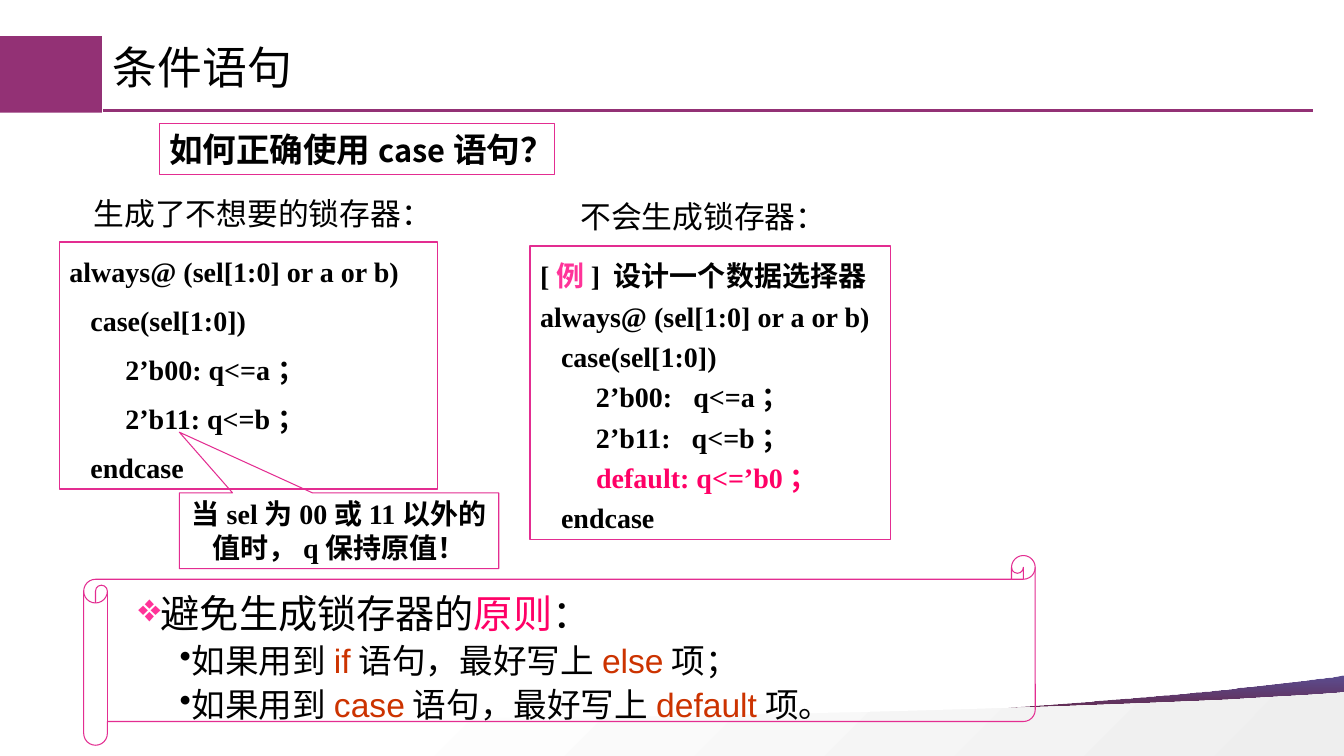
from dataclasses import dataclass

from lxml import etree
from pptx import Presentation
from pptx.dml.color import RGBColor
from pptx.enum.shapes import MSO_CONNECTOR, MSO_SHAPE
from pptx.enum.text import MSO_ANCHOR, PP_ALIGN
from pptx.oxml.ns import qn
from pptx.util import Cm, Pt

RECTANGLE = MSO_SHAPE.RECTANGLE
CALLOUT = MSO_SHAPE.RECTANGULAR_CALLOUT
SCROLL = MSO_SHAPE.HORIZONTAL_SCROLL
STRAIGHT = MSO_CONNECTOR.STRAIGHT
TOP, BOTTOM = MSO_ANCHOR.TOP, MSO_ANCHOR.BOTTOM
LEFT, CENTER, JUSTIFY = PP_ALIGN.LEFT, PP_ALIGN.CENTER, PP_ALIGN.JUSTIFY

BLACK = RGBColor(0x00, 0x00, 0x00)
WHITE = RGBColor(0xFF, 0xFF, 0xFF)
PALE_GREY = RGBColor(0xEE, 0xEE, 0xEE)
PURPLE = RGBColor(0x93, 0x31, 0x75)
MAGENTA = RGBColor(0xE3, 0x2D, 0x91)
PINK = RGBColor(0xFF, 0x33, 0x99)
HOT_PINK = RGBColor(0xFF, 0x00, 0x66)
RUST = RGBColor(0xCC, 0x33, 0x00)
DARK_RED = RGBColor(0x72, 0x08, 0x08)
INDIGO = RGBColor(0x34, 0x22, 0x75)

SERIF, SANS = "Times New Roman", "Arial"
HEADER_FONT, QUESTION_FONT = "Noto Sans CJK JP", "Noto Sans CJK SC"


@dataclass(frozen=True)
class Span:
    text: str
    color: RGBColor | None = None
    size: float | None = None


@dataclass(frozen=True)
class Line:
    spans: tuple[Span, ...]
    size: float
    bullet: str = ""
    bullet_color: RGBColor = BLACK
    margin: float = 0
    indent: float = 0


@dataclass(frozen=True)
class Box:
    """Text block; left, top, width and height are in centimetres."""
    left: float
    top: float
    width: float
    height: float
    lines: tuple[Line, ...]
    font: str
    bold: bool = False
    outline: float = 0
    preset: MSO_SHAPE = RECTANGLE
    adjustments: tuple[float, ...] = ()
    anchor: MSO_ANCHOR = BOTTOM
    align: PP_ALIGN = LEFT
    line_spacing: float = 1.0
    space_before: float = 0


@dataclass(frozen=True)
class Swoosh:
    """Closed outline: corners first, then cubic curves of three points each."""
    corners: tuple[tuple[float, float], ...]
    curves: tuple[tuple[tuple[float, float], ...], ...]
    stops: tuple[tuple[float, RGBColor], ...]
    angle: float
    end_alpha: int = 100


def plain(size: float, *texts: str) -> tuple[Line, ...]:
    return tuple(Line((Span(text),), size) for text in texts)


def advice(before: str, keyword: str, middle: str, partner: str, after: str) -> Line:
    spans = (Span(before), Span(keyword, RUST), Span(middle), Span(partner, RUST), Span(after))
    return Line(spans, 24, "•", BLACK, 1.07, 0.5)


SWOOSHES = (
    Swoosh(((33.87, 17.02), (33.87, 18.67), (0.08, 18.67), (0.08, 17.98), (0.1, 17.98)),
           (((7.72, 18.82), (20.9, 18.24), (28.5, 17.6)),
            ((30.02, 17.48), (31.75, 17.3), (33.58, 17.07))),
           ((0, DARK_RED), (1, INDIGO)), 90, 80),
    Swoosh(((33.87, 17.45), (33.87, 19.05), (0.08, 19.05), (0.08, 17.86), (1.19, 17.91)),
           (((10.01, 18.31), (23.19, 17.98), (31.04, 17.63)),
            ((31.73, 17.58), (32.44, 17.55), (33.2, 17.5))),
           ((0.26, WHITE), (1, PALE_GREY)), 315),
)

SELECTOR_CODE = (
    Line((Span("["), Span("例", PINK), Span("] 设计一个数据选择器")), 20),
    *plain(20, "always@ (sel[1:0] or a or b)", "   case(sel[1:0])",
           "        2’b00:   q<=a；", "        2’b11:   q<=b；"),
    Line((Span("        "), Span("default: q<=’b0；", HOT_PINK)), 20),
    *plain(20, "   endcase"),
)

PRINCIPLES = (
    Line((Span("避免生成锁存器的"), Span("原则", HOT_PINK), Span("：")), 28, "❖", PINK, 0, 0.53),
    advice("如果用到", "if", "语句，最好写上", "else", "项；"),
    advice("如果用到", "case", "语句，最好写上", "default", "项。"),
)

BOXES = (
    Box(2.59, 1.02, 28.96, 2.11, plain(32, "条件语句"), SANS, anchor=TOP, line_spacing=0.9),
    Box(1.5, 6.1, 9.53, 6.22,
        plain(20, "always@ (sel[1:0] or a or b)", "   case(sel[1:0])", "        2’b00: q<=a；",
              "        2’b11: q<=b；", "   endcase"),
        SERIF, bold=True, outline=1, space_before=11),
    Box(2.11, 4.78, 9.32, 1.19, plain(22, "生成了不想要的锁存器："), HEADER_FONT),
    Box(13.36, 6.2, 9.09, 7.39, SELECTOR_CODE, SERIF, bold=True, outline=1, line_spacing=1.2),
    Box(14.38, 4.85, 6.86, 1.19, plain(22, "不会生成锁存器："), HEADER_FONT),
    Box(4.01, 3.12, 9.96, 1.27,
        (Line((Span("如何正确使用"), Span("case", size=22), Span("语句？")), 24),),
        QUESTION_FONT, bold=True, outline=0.75),
    Box(4.52, 12.42, 8.05, 1.91, plain(20, "当sel为00或11以外的值时，q保持原值！"), SERIF,
        bold=True, outline=0.75, preset=CALLOUT, adjustments=(-0.5, -1.301), align=CENTER),
    Box(2.11, 14, 23.98, 4.78, PRINCIPLES, SANS, outline=0.75, preset=SCROLL,
        adjustments=(0.125,), anchor=TOP, align=JUSTIFY, line_spacing=1.1),
)


def add_bullet(paragraph, line: Line) -> None:
    properties = paragraph._p.get_or_add_pPr()
    properties.set("marL", str(Cm(line.margin)))
    properties.set("indent", str(Cm(line.indent)))
    color = etree.SubElement(properties, qn("a:buClr"))
    etree.SubElement(color, qn("a:srgbClr"), val=str(line.bullet_color))
    etree.SubElement(properties, qn("a:buChar"), char=line.bullet)


def add_box(slide, box: Box) -> None:
    place = Cm(box.left), Cm(box.top), Cm(box.width), Cm(box.height)
    if box.outline:
        shape = slide.shapes.add_shape(box.preset, *place)
        shape.shadow.inherit = False
        shape.fill.background()
        shape.line.color.rgb = MAGENTA
        shape.line.width = Pt(box.outline)
        for index, value in enumerate(box.adjustments):
            shape.adjustments[index] = value
    else:
        shape = slide.shapes.add_textbox(*place)
    frame = shape.text_frame
    frame.word_wrap = True
    frame.vertical_anchor = box.anchor
    for index, line in enumerate(box.lines):
        paragraph = frame.add_paragraph() if index else frame.paragraphs[0]
        if line.bullet:
            add_bullet(paragraph, line)
        paragraph.alignment = box.align
        paragraph.line_spacing = box.line_spacing
        if index and box.space_before:
            paragraph.space_before = Pt(box.space_before)
        font = paragraph.font
        font.name, font.size, font.bold = box.font, Pt(line.size), box.bold
        font.color.rgb = BLACK
        for span in line.spans:
            run = paragraph.add_run()
            run.text = span.text
            if span.color is not None:
                run.font.color.rgb = span.color
            if span.size is not None:
                run.font.size = Pt(span.size)


def add_swoosh(slide, swoosh: Swoosh, steps: int = 24) -> None:
    points = list(swoosh.corners)
    for first, second, end in swoosh.curves:
        start = points[-1]
        for step in range(1, steps + 1):
            t = step / steps
            weights = (1 - t) ** 3, 3 * t * (1 - t) ** 2, 3 * t * t * (1 - t), t ** 3
            controls = start, first, second, end
            points.append(tuple(sum(w * c[axis] for w, c in zip(weights, controls))
                                for axis in (0, 1)))
    outline = [(Cm(x), Cm(y)) for x, y in points]
    builder = slide.shapes.build_freeform(*outline[0])
    builder.add_line_segments(outline[1:], close=True)
    shape = builder.convert_to_shape()
    shape.shadow.inherit = False
    shape.line.fill.background()
    shape.fill.gradient()
    shape.fill.gradient_angle = swoosh.angle
    for stop, (position, color) in zip(shape.fill.gradient_stops, swoosh.stops):
        stop.position = position
        stop.color.rgb = color
    if swoosh.end_alpha < 100:
        end_color = shape._element.spPr.findall(".//" + qn("a:srgbClr"))[-1]
        etree.SubElement(end_color, qn("a:alpha"), val=str(swoosh.end_alpha * 1000))


def add_title_band(slide) -> None:
    rule = slide.shapes.add_connector(STRAIGHT, Cm(2.59), Cm(2.79), Cm(33.1), Cm(2.79))
    rule.line.color.rgb = PURPLE
    rule.line.width = Pt(2.25)
    etree.SubElement(rule._element.spPr, qn("a:effectLst"))
    block = slide.shapes.add_shape(RECTANGLE, Cm(-0.05), Cm(0.91), Cm(2.62), Cm(1.93))
    block.shadow.inherit = False
    block.fill.solid()
    block.fill.fore_color.rgb = PURPLE
    block.line.fill.background()


def main() -> None:
    presentation = Presentation()
    presentation.slide_width, presentation.slide_height = Cm(33.87), Cm(19.05)
    slide = presentation.slides.add_slide(presentation.slide_layouts[6])
    for swoosh in SWOOSHES:
        add_swoosh(slide, swoosh)
    add_title_band(slide)
    for box in BOXES:
        add_box(slide, box)
    presentation.save("out.pptx")


if __name__ == "__main__":
    main()
